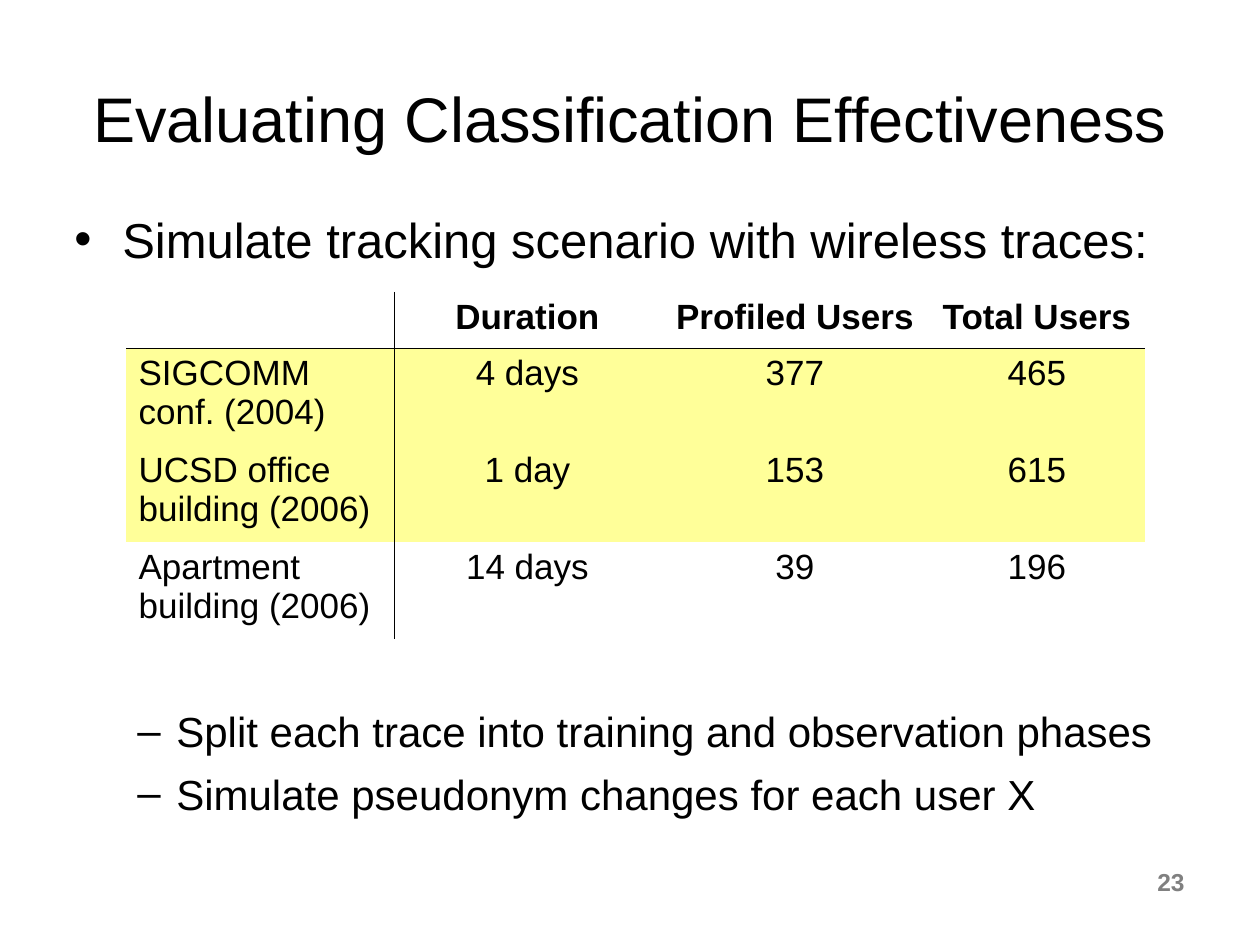
from lxml import etree
from pptx import Presentation
from pptx.dml.color import RGBColor
from pptx.enum.text import MSO_ANCHOR, MSO_AUTO_SIZE, PP_ALIGN
from pptx.oxml.ns import qn
from pptx.util import Emu, Pt

LEFT, CENTER, RIGHT = PP_ALIGN.LEFT, PP_ALIGN.CENTER, PP_ALIGN.RIGHT
MIDDLE = MSO_ANCHOR.MIDDLE
NO_AUTOFIT = MSO_AUTO_SIZE.NONE
BLACK = RGBColor(0x00, 0x00, 0x00)
GRAY = RGBColor(0x80, 0x80, 0x80)
WHITE = RGBColor(0xFF, 0xFF, 0xFF)
YELLOW = RGBColor(0xFF, 0xFF, 0x99)
TITLE_ONLY = 5
PIXELS_PER_INCH = 126

COLUMN_WIDTHS = [268, 267, 268, 216]
ROW_HEIGHTS = [56, 97, 97, 97]
TRACES = [
    ["", "Duration", "Profiled Users", "Total Users"],
    ["SIGCOMM conf. (2004)", "4 days", "377", "465"],
    ["UCSD office building (2006)", "1 day", "153", "615"],
    ["Apartment building (2006)", "14 days", "39", "196"],
]
HIGHLIGHTED_ROWS = (1, 2)
BULLETS = [
    ("Simulate tracking scenario with wireless traces:", 0, 0),
    ("Split each trace into training and observation phases", 1, 250),
    ("Simulate pseudonym changes for each user X", 1, 7),
]
BULLET_STYLES = [("•", 28, 48, 48), ("–", 24, 102, 39)]


def px(length):
    return Emu(round(length * 914400 / PIXELS_PER_INCH))


class SlideBuilder:
    font_name = "Arial"
    border_width = Pt(0.45)

    def __init__(self, presentation):
        self.slide = presentation.slides.add_slide(presentation.slide_layouts[TITLE_ONLY])

    def format(self, paragraph, size, color=BLACK, bold=False, alignment=LEFT):
        paragraph.alignment = alignment
        paragraph.font.name = self.font_name
        paragraph.font.size = Pt(size)
        paragraph.font.bold = bold
        paragraph.font.color.rgb = color

    def title(self, text, left, top, width, height):
        shape = self.slide.shapes.title
        shape.left, shape.top, shape.width, shape.height = map(px, (left, top, width, height))
        frame = shape.text_frame
        frame.text = text
        frame.auto_size = NO_AUTOFIT
        frame.vertical_anchor = MIDDLE
        self.format(frame.paragraphs[0], 36, alignment=CENTER)

    def text_frame(self, left, top, width, height):
        shape = self.slide.shapes.add_textbox(*map(px, (left, top, width, height)))
        shape.text_frame.word_wrap = True
        return shape.text_frame

    def bullet_list(self, bullets, left, top, width, height):
        frame = self.text_frame(left, top, width, height)
        for index, (text, level, space_before) in enumerate(bullets):
            character, size, margin, hanging = BULLET_STYLES[level]
            paragraph = frame.add_paragraph() if index else frame.paragraphs[0]
            paragraph.text = text
            paragraph.level = level
            paragraph.space_before = Pt(space_before)
            properties = paragraph._p.get_or_add_pPr()
            properties.set("marL", str(px(margin)))
            properties.set("indent", str(-px(hanging)))
            etree.SubElement(properties, qn("a:buFont"), typeface=self.font_name)
            etree.SubElement(properties, qn("a:buChar"), char=character)
            self.format(paragraph, size)

    def borders(self, cell, visible_sides):
        properties = cell._tc.get_or_add_tcPr()
        for side in "LRTB":
            line = etree.SubElement(properties, qn(f"a:ln{side}"), w=str(self.border_width))
            if side in visible_sides:
                fill = etree.SubElement(line, qn("a:solidFill"))
                etree.SubElement(fill, qn("a:srgbClr"), val=str(BLACK))
            else:
                etree.SubElement(line, qn("a:noFill"))

    def table(self, rows, left, top):
        size = px(sum(COLUMN_WIDTHS)), px(sum(ROW_HEIGHTS))
        table = self.slide.shapes.add_table(
            len(rows), len(rows[0]), px(left), px(top), *size
        ).table
        table.first_row = table.horz_banding = False
        for column, width in zip(table.columns, COLUMN_WIDTHS):
            column.width = px(width)
        for row, height in zip(table.rows, ROW_HEIGHTS):
            row.height = px(height)
        for row_index, row in enumerate(rows):
            for column_index, text in enumerate(row):
                cell = table.cell(row_index, column_index)
                cell.text = text
                alignment = CENTER if column_index else LEFT
                self.format(cell.text_frame.paragraphs[0], 20,
                            bold=row_index == 0, alignment=alignment)
                sides = {0: "R", 1: "L"}.get(column_index, "")
                sides += {0: "B", 1: "T"}.get(row_index, "")
                self.borders(cell, sides)
                cell.fill.solid()
                cell.fill.fore_color.rgb = YELLOW if row_index in HIGHLIGHTED_ROWS else WHITE

    def page_number(self, number, left, top, width, height):
        paragraph = self.text_frame(left, top, width, height).paragraphs[0]
        paragraph.text = str(number)
        self.format(paragraph, 14, GRAY, bold=True, alignment=RIGHT)


def main():
    presentation = Presentation()
    presentation.slide_width, presentation.slide_height = px(1260), px(945)
    builder = SlideBuilder(presentation)
    builder.title("Evaluating Classification Effectiveness", 63, 38, 1134, 158)
    builder.bullet_list(BULLETS, 62, 203, 1134, 618)
    builder.table(TRACES, 126, 292)
    builder.page_number(23, 903, 861, 294, 65)
    presentation.save("out.pptx")


if __name__ == "__main__":
    main()
